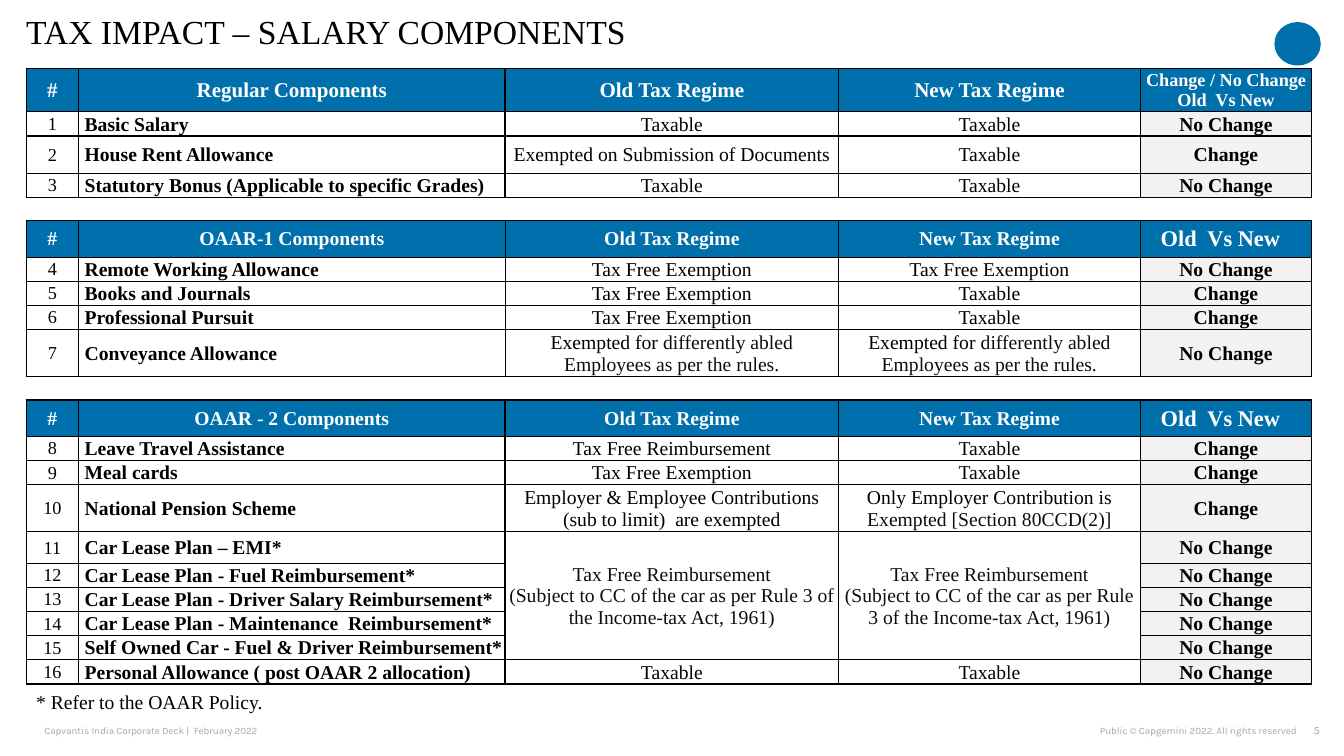
import pptx
import pptx.util
import pptx.oxml
import pptx.oxml.ns
import pptx.dml.color
import pptx.enum.shapes
import pptx.enum.text

Inches, Pt = pptx.util.Inches, pptx.util.Pt
ALIGN = pptx.enum.text.PP_ALIGN
MIDDLE = pptx.enum.text.MSO_ANCHOR.MIDDLE

# Content: "|" starts the softer text colour, None continues the cell above
OLD, NEW = "Old Tax Regime", "New Tax Regime"
TAXABLE, EXEMPT = "Taxable", "Tax Free Exemption"
SAME, CHANGE = "No Change", "Change"
CONVEYANCE = "Exempted for |differently abled Employees as per the rules."
LEASE = "|Tax Free Reimbursement\n|(Subject to CC of the car as per Rule 3 of the Income-tax Act, 1961)"
LINE, TWO_LINES, GAP = 0.24, 0.47, 0.23

SECTIONS = [
    {"heading": "Regular Components", "verdict": "Change / No Change\vOld  Vs New",
     "heading_size": 15, "verdict_size": 13, "verdict_margin": 0.01,
     "height": 0.43, "border": 1,
     "rows": [
         ("Basic Salary", TAXABLE, TAXABLE, SAME, LINE),
         ("House Rent Allowance", "Exempted on Submission of Documents", TAXABLE, CHANGE, 0.37),
         ("Statutory Bonus (Applicable to specific Grades)", TAXABLE, TAXABLE, SAME, LINE)]},
    {"heading": "OAAR-1 Components", "verdict": "Old  Vs New",
     "heading_size": 14, "verdict_size": 16, "verdict_margin": 0.12,
     "height": 0.36, "border": 0.5,
     "rows": [
         ("Remote Working Allowance", EXEMPT, EXEMPT, SAME, LINE),
         ("Books and Journals", EXEMPT, TAXABLE, CHANGE, LINE),
         ("Professional Pursuit", EXEMPT, TAXABLE, CHANGE, LINE),
         ("Conveyance Allowance", CONVEYANCE, CONVEYANCE, SAME, TWO_LINES)]},
    {"heading": "OAAR - 2 Components", "verdict": "Old  Vs New",
     "heading_size": 14, "verdict_size": 16, "verdict_margin": 0.12,
     "height": 0.36, "border": 1,
     "rows": [
         ("Leave Travel Assistance", "Tax Free Reimbursement", TAXABLE, CHANGE, LINE),
         ("Meal cards", EXEMPT, TAXABLE, CHANGE, LINE),
         ("National Pension Scheme",
          "Employer & Employee Contributions (sub to limit)  are exempted",
          "Only Employer Contribution is |Exempted [Section 80CCD(2)]", CHANGE, TWO_LINES),
         ("Car Lease Plan – EMI*", LEASE, LEASE, SAME, 0.31),
         ("Car Lease Plan - Fuel Reimbursement*", None, None, SAME, LINE),
         ("Car Lease Plan - Driver Salary Reimbursement*", None, None, SAME, LINE),
         ("Car Lease Plan - Maintenance  Reimbursement*", None, None, SAME, LINE),
         ("Self Owned Car - Fuel & Driver Reimbursement*", None, None, SAME, LINE),
         ("Personal Allowance ( post OAAR 2 allocation)", TAXABLE, TAXABLE, SAME, LINE)]},
]
COLUMNS = [0.52, 4.23, 3.31, 2.99, 1.7]
TITLE = "TAX IMPACT – SALARY COMPONENTS"
# text, (left, top, width, height), type role, colour role, alignment, margins, anchor
NOTES = [
    ("* Refer to the OAAR Policy.", (0.26, 6.8, 12.76, 0.34), "body", "text", ALIGN.LEFT, (0.1, 0.05), None),
    ("Capvantis India Corporate Deck |  February 2022", (0.44, 7.13, 3.73, 0.24), "footer", "footer",
     ALIGN.LEFT, (0, 0), MIDDLE),
    ("Public © Capgemini 2022. All rights reserved", (7.9, 7.13, 4.96, 0.24), "footer", "footer",
     ALIGN.RIGHT, (0, 0), MIDDLE),
    ("5", (12.84, 7.13, 0.25, 0.24), "page", "footer", ALIGN.RIGHT, (0, 0.05), None),
]

THEME = {
    "font": {"title": "Times New Roman", "body": "Times New Roman", "footer": "Karla", "page": "Karla"},
    "size": {"title": 24, "body": 14, "number": 13, "footer": 7, "page": 8},
    "color": {"text": "000000", "soft": "0D0D0D", "header_text": "FFFFFF", "header": "0070AD",
              "verdict": "F2F2F2", "border": "000000", "footer": "A6A6A6"},
}


def color(role):
    return pptx.dml.color.RGBColor.from_string(THEME["color"][role])


def assign(target, values):
    for name, value in values.items():
        setattr(target, name, value)


def style(font, role, tint, size=None, bold=False):
    assign(font, {"name": THEME["font"][role], "size": Pt(size or THEME["size"][role]), "bold": bold})
    font.color.rgb = color(tint)


def margins(left, top, right, bottom):
    return {"margin_left": Inches(left), "margin_top": Inches(top),
            "margin_right": Inches(right), "margin_bottom": Inches(bottom)}


def draw_borders(cell, sides):
    properties = cell._tc.get_or_add_tcPr()
    for position, (side, width) in enumerate(sides.items()):
        properties.insert(position, pptx.oxml.parse_xml(
            f'<a:ln{side} {pptx.oxml.ns.nsdecls("a")} w="{Pt(width)}"><a:solidFill>'
            f'<a:srgbClr val="{THEME["color"]["border"]}"/></a:solidFill></a:ln{side}>'))


def write_cell(cell, text, sides, fill=None, size=14, bold=False, tint="text",
               align=ALIGN.CENTER, left=0.01, right=0.01):
    draw_borders(cell, sides)
    assign(cell, {"vertical_anchor": MIDDLE, **margins(left, 0.01, right, 0)})
    if fill:
        cell.fill.solid()
        cell.fill.fore_color.rgb = color(fill)
    else:
        cell.fill.background()
    frame = cell.text_frame
    if not text:
        frame.paragraphs[0]._p.append(pptx.oxml.parse_xml(
            f'<a:endParaRPr {pptx.oxml.ns.nsdecls("a")} sz="400"/>'))
        return
    for index, line in enumerate(text.split("\n")):
        paragraph = frame.add_paragraph() if index else frame.paragraphs[0]
        paragraph.alignment = align
        for part, piece in enumerate(line.split("|")):
            for broken, words in enumerate(piece.split("\v")):
                if broken:
                    paragraph.add_line_break()
                if words:
                    run = paragraph.add_run()
                    run.text = words
                    style(run.font, "body", "soft" if part else tint, size, bold)


deck = pptx.Presentation()
assign(deck, {"slide_width": Inches(13.33), "slide_height": Inches(7.5)})
slide = deck.slides.add_slide(deck.slide_layouts[5])

# Title
title = slide.shapes.title
assign(title, dict(zip(("left", "top", "width", "height"), map(Inches, (0.26, 0.17, 12.25, 0.34)))))
assign(title.text_frame, {"text": TITLE, "vertical_anchor": MIDDLE, "word_wrap": True, **margins(0, 0, 0, 0)})
assign(title.text_frame.paragraphs[0], {"alignment": ALIGN.LEFT, "line_spacing": Pt(24)})
style(title.text_frame.paragraphs[0].runs[0].font, "title", "text")

# Plain mark in the corner
mark = slide.shapes.add_shape(pptx.enum.shapes.MSO_SHAPE.OVAL, *map(Inches, (12.64, 0.22, 0.46, 0.43)))
mark.shadow.inherit = False
mark.fill.solid()
mark.fill.fore_color.rgb = color("header")
mark.line.fill.background()

# Tax table
row_heights = []
for section in SECTIONS:
    row_heights += [GAP] * bool(row_heights) + [section["height"]] + [row[-1] for row in section["rows"]]
frame = slide.shapes.add_table(len(row_heights), len(COLUMNS), Inches(0.26), Inches(0.68),
                               Inches(sum(COLUMNS)), Inches(sum(row_heights)))
tax = frame.table
assign(tax, {"first_row": False, "horz_banding": False})
tax._tbl.tblPr.find(pptx.oxml.ns.qn("a:tableStyleId")).text = "{2D5ABB26-0587-4C30-8999-92F81FD0307C}"
for column, width in zip(tax.columns, COLUMNS):
    column.width = Inches(width)
for row, height in zip(tax.rows, row_heights):
    row.height = Inches(height)

top, number, lease_rows = 0, 0, []
for previous, section in zip([None] + SECTIONS, SECTIONS):
    if previous:
        for column in range(len(COLUMNS)):
            write_cell(tax.cell(top, column), "", {"T": previous["border"], "B": section["border"]})
        top += 1
    sides = dict.fromkeys("LRTB", section["border"])
    header = {"sides": sides, "fill": "header", "bold": True, "tint": "header_text"}
    for column, text in enumerate(("#", section["heading"], OLD, NEW)):
        write_cell(tax.cell(top, column), text, size=section["heading_size"], **header)
    write_cell(tax.cell(top, 4), section["verdict"], size=section["verdict_size"],
               right=section["verdict_margin"], **header)
    for top, (component, old, new, verdict, _) in enumerate(section["rows"], top + 1):
        number += 1
        number_size = 14 if number == 0 else THEME["size"]["number"]
        write_cell(tax.cell(top, 0), str(number), sides, size=number_size)
        write_cell(tax.cell(top, 1), component, sides, bold=True, align=ALIGN.LEFT, left=0.06)
        write_cell(tax.cell(top, 2), old, sides)
        write_cell(tax.cell(top, 3), new, sides)
        write_cell(tax.cell(top, 4), verdict, sides, fill="verdict", bold=True)
        if old is None:
            lease_rows.append(top)
    top += 1
for column in (2, 3):
    tax.cell(lease_rows[0] - 1, column).merge(tax.cell(lease_rows[-1], column))

# Footnote and footer
for text, box, role, tint, align, (side, edge), anchor in NOTES:
    note = slide.shapes.add_textbox(*map(Inches, box)).text_frame
    assign(note, {"text": text, "word_wrap": True, "vertical_anchor": anchor, **margins(side, edge, side, edge)})
    note.paragraphs[0].alignment = align
    style(note.paragraphs[0].runs[0].font, role, tint)

deck.save("out.pptx")
